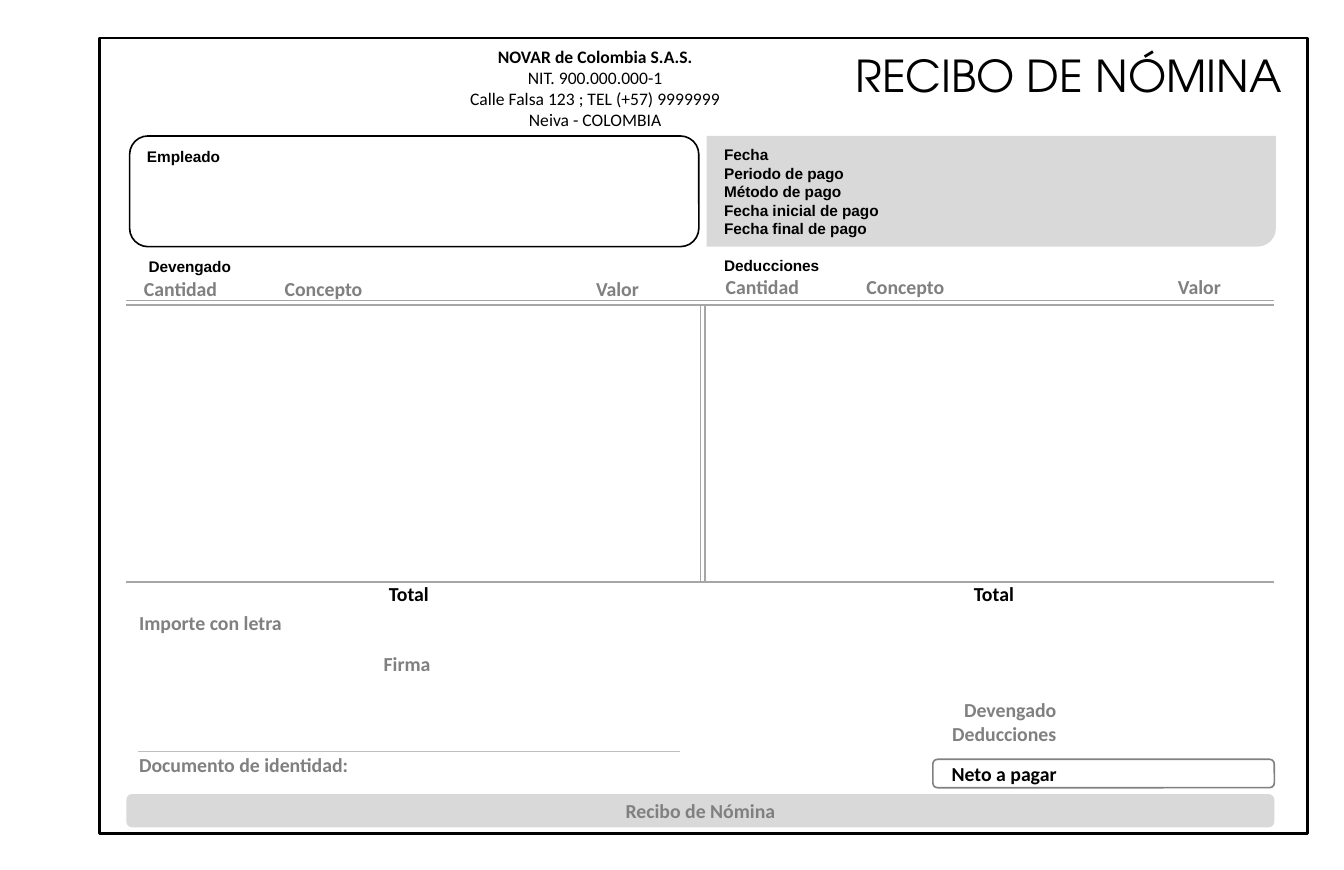
import dataclasses

import pptx
import pptx.dml.color
import pptx.enum.shapes
import pptx.enum.text
import pptx.oxml.ns
import pptx.util
from lxml import etree

COLUMNS, ROWS = 85, 55
SHAPE = pptx.enum.shapes.MSO_SHAPE
ALIGN = pptx.enum.text.PP_ALIGN
ANCHOR = pptx.enum.text.MSO_ANCHOR


@dataclasses.dataclass(frozen=True)
class Theme:
    """Colours, fonts and sizes of the payslip."""
    black: str = "000000"
    white: str = "FFFFFF"
    label: str = "808080"
    panel: str = "D9D9D9"
    rule: str = "A6A6A6"
    signature: str = "BFBFBF"
    body_font: str = "Calibri"
    heading_font: str = "Arial"
    title_font: str = "TeX Gyre Adventor"
    title_size: float = 20
    body_size: float = 9
    company_size: float = 8
    heading_size: float = 7
    thin: float = 0.75
    frame: float = 1


THEME = Theme()
LABEL = dict(size=THEME.body_size, font=THEME.body_font, color=THEME.label, bold=True)
STRONG = {**LABEL, "color": THEME.black}
HEADING = dict(size=THEME.heading_size, font=THEME.heading_font,
               color=THEME.black, bold=True)
COMPANY = {**STRONG, "size": THEME.company_size, "align": ALIGN.CENTER}
TITLE = dict(size=THEME.title_size, font=THEME.title_font,
             color=THEME.black, align=ALIGN.CENTER)


def rgb(value):
    """Turn a hex string into a colour."""
    return pptx.dml.color.RGBColor.from_string(value)


def write(frame, text, size, font, color, bold=False, align=ALIGN.LEFT,
          anchor=ANCHOR.TOP, first_line_bold_only=False):
    """Fill a text frame, one paragraph a line, in the given format."""
    frame.word_wrap = True
    frame.vertical_anchor = anchor
    frame.margin_left = frame.margin_right = pptx.util.Inches(0.11)
    frame.margin_top = frame.margin_bottom = pptx.util.Inches(0.06)
    for index, line in enumerate(text.split("\n")):
        paragraph = frame.paragraphs[0] if index == 0 else frame.add_paragraph()
        paragraph.alignment = align
        run = paragraph.add_run()
        run.text = line
        run.font.size = pptx.util.Pt(size)
        run.font.name = font
        run.font.bold = bold and not (first_line_bold_only and index)
        run.font.color.rgb = rgb(color)


class Payslip:
    """The current slide and its style, measured in grid columns and rows."""

    def __init__(self, deck, theme):
        """Add a blank slide to the deck."""
        self.theme = theme
        self.slide = deck.slides.add_slide(deck.slide_layouts[6])
        self.column = deck.slide_width / COLUMNS
        self.row = deck.slide_height / ROWS

    def place(self, x, y, *size):
        """Convert grid lengths, in x and y pairs, to slide units."""
        return [round(length * (self.row if index % 2 else self.column))
                for index, length in enumerate((x, y, *size))]

    def text(self, x, y, width, height, text, **style):
        """Add a text box that fits its text."""
        box = self.slide.shapes.add_textbox(*self.place(x, y, width, height))
        write(box.text_frame, text, **style)
        box.text_frame.auto_size = pptx.enum.text.MSO_AUTO_SIZE.SHAPE_TO_FIT_TEXT

    def shape(self, kind, x, y, width, height, fill=None, line=None, weight=None):
        """Add a preset shape with an optional fill and outline."""
        shape = self.slide.shapes.add_shape(kind, *self.place(x, y, width, height))
        shape.shadow.inherit = False
        if fill:
            shape.fill.solid()
            shape.fill.fore_color.rgb = rgb(fill)
        else:
            shape.fill.background()
        if line:
            shape.line.color.rgb = rgb(line)
            shape.line.width = pptx.util.Pt(weight or self.theme.thin)
        else:
            shape.line.fill.background()
        return shape

    def line(self, x1, y1, x2, y2, color):
        """Add a thin straight rule."""
        rule = self.slide.shapes.add_connector(
            pptx.enum.shapes.MSO_CONNECTOR.STRAIGHT, *self.place(x1, y1, x2, y2))
        rule.line.color.rgb = rgb(color)
        rule.line.width = pptx.util.Pt(self.theme.thin)
        etree.SubElement(rule._element.spPr, pptx.oxml.ns.qn("a:effectLst"))


def add_header(slip):
    """Draw the frame, company details, title and the two upper panels."""
    slip.shape(SHAPE.RECTANGLE, 6.3, 2.4, 76.4, 50.3,
               line=THEME.black, weight=THEME.frame)
    slip.text(22.6, 2.3, 30.1, 6.5,
              "NOVAR de Colombia S.A.S.\nNIT. 900.000.000-1\n"
              "Calle Falsa 123 ; TEL (+57) 9999999\nNeiva - COLOMBIA",
              first_line_bold_only=True, **COMPANY)
    slip.text(52.4, 2.5, 30.4, 4.5, "RECIBO DE NÓMINA", **TITLE)
    slip.shape(SHAPE.ROUNDED_RECTANGLE, 8.2, 8.6, 36, 7,
               fill=THEME.white, line=THEME.black)
    slip.text(8.2, 8.7, 11.6, 2.3, "Empleado", **HEADING)
    dates = slip.shape(SHAPE.ROUND_1_RECTANGLE, 44.7, 8.6, 36, 7, fill=THEME.panel)
    dates._element.spPr.xfrm.set("flipV", "1")
    slip.text(44.7, 8.6, 21.4, 8.2,
              "Fecha\nPeriodo de pago\nMétodo de pago\n"
              "Fecha inicial de pago\nFecha final de pago", **HEADING)


def add_entries(slip):
    """Draw the earnings and deductions halves with their rules."""
    halves = (("Devengado", 8.3, 15.7, 8, 23.5),
              ("Deducciones", 44.7, 15.6, 44.8, 60.5))
    fields = (("Cantidad", 0), ("Concepto", 8.9), ("Valor", 28.6))
    for heading, heading_x, heading_y, fields_x, total_x in halves:
        slip.text(heading_x, heading_y, 21.4, 2.3, heading, **HEADING)
        for field, offset in fields:
            slip.text(fields_x + offset, heading_y + 1.2, 7.2, 2.6, field, **LABEL)
        slip.text(total_x, 36.2, 21.4, 2.6, "Total", **STRONG)
    for y in (19, 19.3, 36.8):
        slip.line(8, y, 80.6, y, THEME.rule)
    for x in (44.3, 44.6):
        slip.line(x, 19.3, x, 36.8, THEME.rule)


def add_footer(slip):
    """Draw the signature area, the net pay and the closing bar."""
    slip.text(7.7, 38, 74.1, 2.6, "Importe con letra", **LABEL)
    slip.text(8.6, 40.6, 34.3, 2.6, "Firma", align=ALIGN.CENTER, **LABEL)
    slip.line(8.7, 47.5, 43, 47.5, THEME.signature)
    slip.text(7.7, 47, 34.3, 2.6, "Documento de identidad:", **LABEL)
    slip.text(52.6, 43.5, 15.3, 4.2, "Devengado\nDeducciones",
              align=ALIGN.RIGHT, **LABEL)
    net = slip.shape(SHAPE.ROUNDED_RECTANGLE, 59, 48, 21.6, 1.8, line=THEME.label)
    write(net.text_frame, "Neto a pagar", anchor=ANCHOR.MIDDLE, **STRONG)
    bar = slip.shape(SHAPE.ROUNDED_RECTANGLE, 8, 50.2, 72.6, 2.1, fill=THEME.panel)
    write(bar.text_frame, "Recibo de Nómina", align=ALIGN.CENTER,
          anchor=ANCHOR.MIDDLE, **LABEL)


def main():
    """Build the payslip and save it."""
    deck = pptx.Presentation()
    deck.slide_width = pptx.util.Inches(8.5)
    deck.slide_height = pptx.util.Inches(5.5)
    slip = Payslip(deck, THEME)
    add_header(slip)
    add_entries(slip)
    add_footer(slip)
    deck.save("out.pptx")


main()
